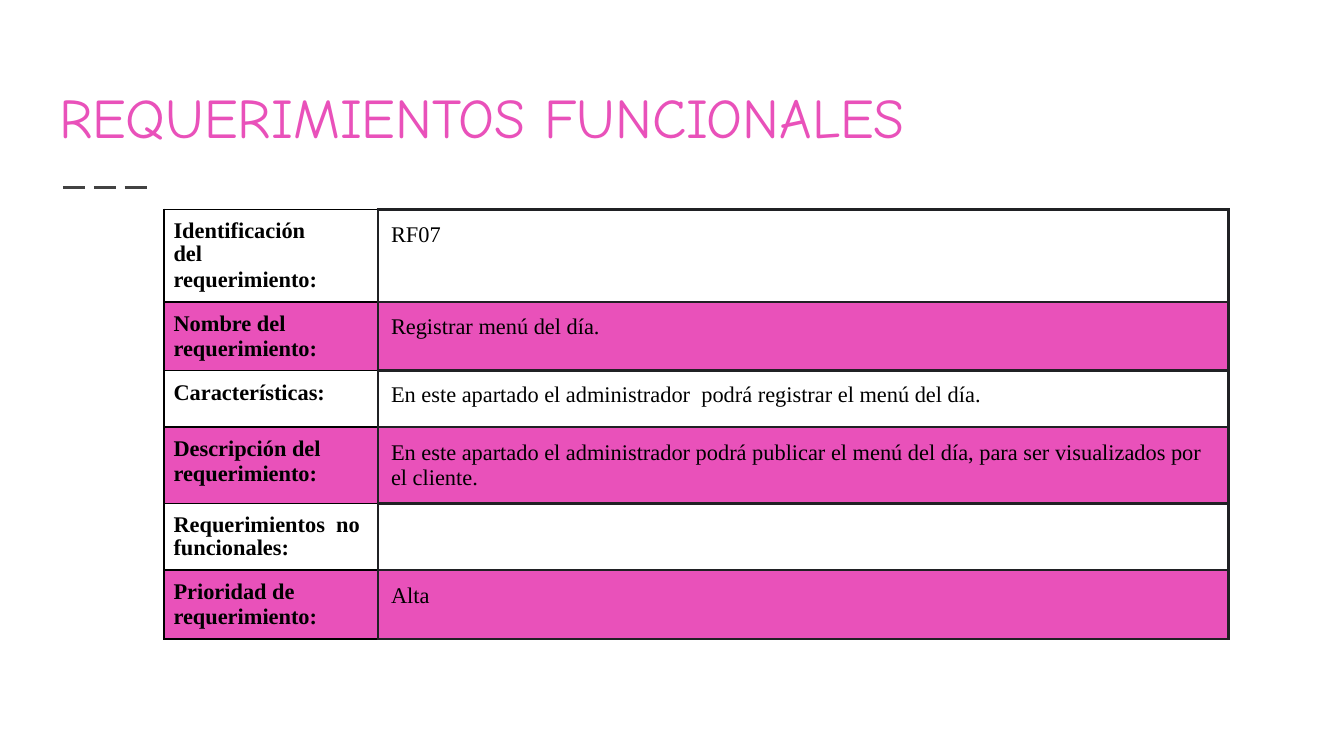
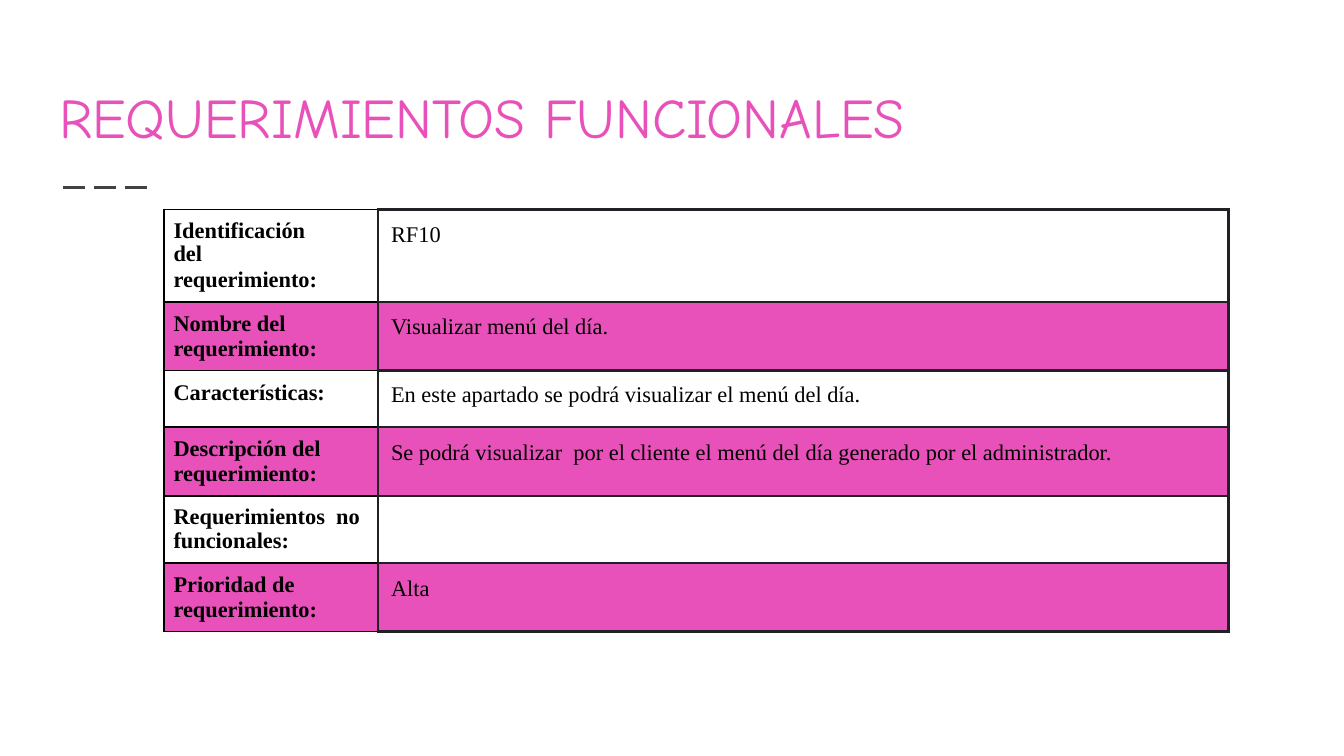
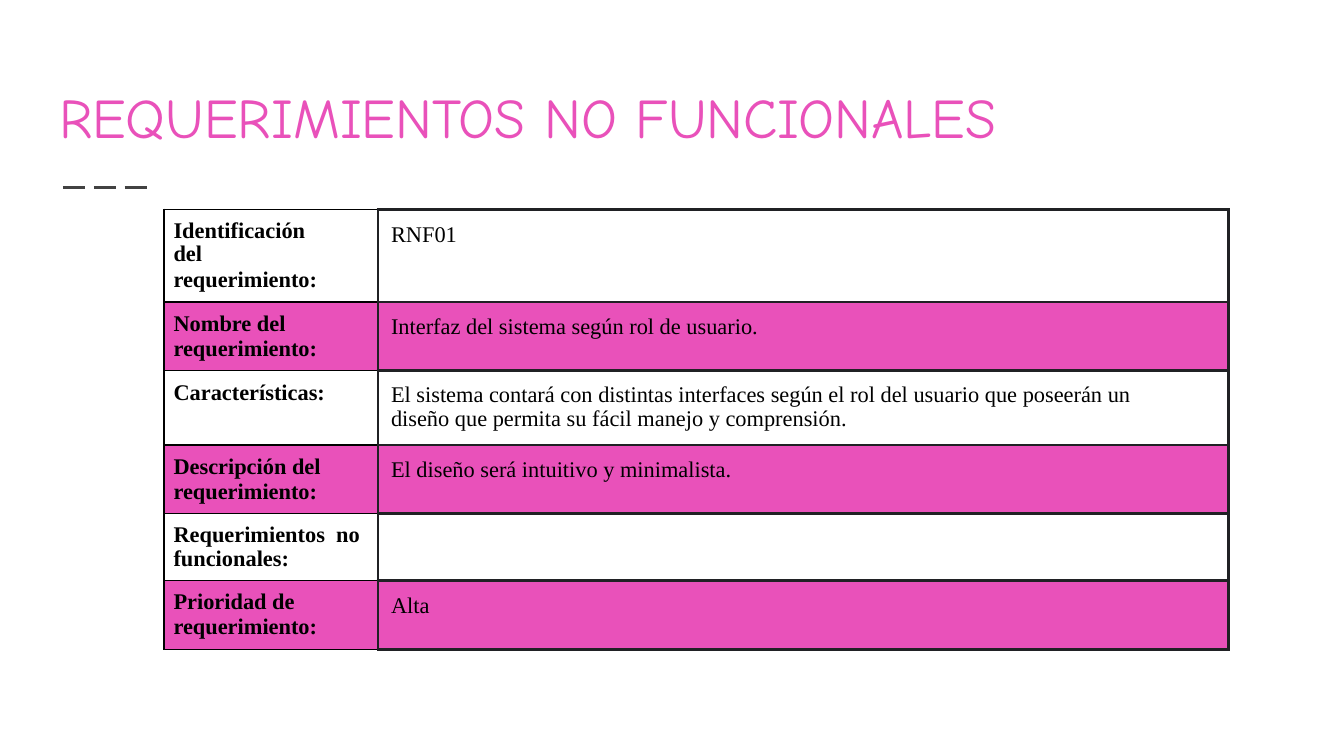
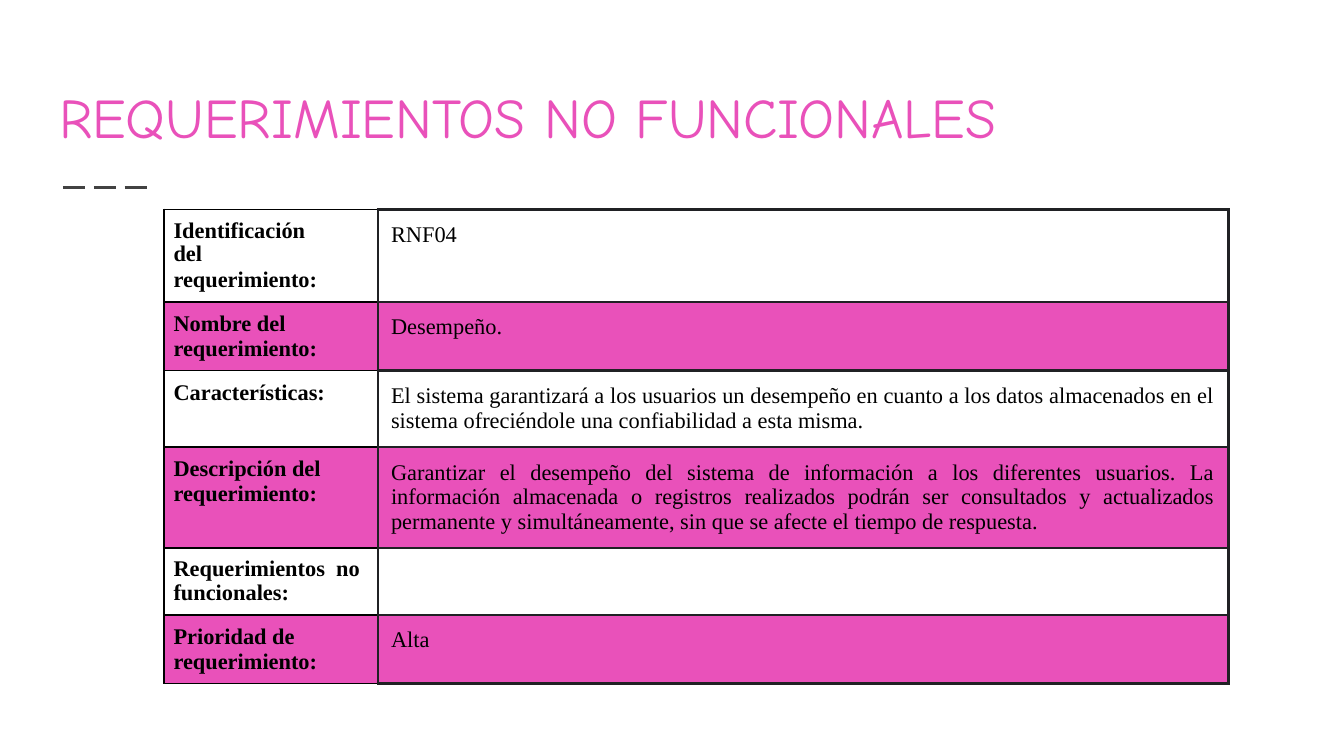
from lxml import etree
from pptx import Presentation
from pptx.dml.color import RGBColor
from pptx.enum import dml, shapes, text
from pptx.oxml import ns
from pptx.util import Cm, Pt

HUES = {"pink": "E951BA", "ink": "000000", "edge": "202124", "dash": "424242"}
LABELS = [
    ("Identificación del\nrequerimiento:", {"space": 0.96, "before": 0.3}, 0.8),
    ("Nombre del\nrequerimiento:", {}, 0.18),
    ("Características:", {}, 0.18),
    ("Descripción del requerimiento:", {}, 0.18),
    ("Requerimientos  no funcionales:", {"space": 0.96}, 0.18),
    ("Prioridad de\nrequerimiento:", {}, 0.18),
]
SLIDES = [
    ("REQUERIMIENTOS FUNCIONALES", "RF07", "Registrar menú del día.",
     "En este apartado el administrador  podrá registrar el menú del día.",
     "En este apartado el administrador podrá publicar el menú del día, "
     "para ser visualizados por el cliente."),
    ("REQUERIMIENTOS FUNCIONALES", "RF10", "Visualizar menú del día.",
     "En este apartado se podrá visualizar el menú del día.",
     "Se podrá visualizar  por el cliente el menú del día generado por el administrador."),
    ("REQUERIMIENTOS NO FUNCIONALES", "RNF01", "Interfaz del sistema según rol de usuario.",
     "El sistema contará con distintas interfaces según el rol del usuario que poseerán un "
     "diseño que permita su fácil manejo y comprensión.",
     "El diseño será intuitivo y minimalista."),
    ("REQUERIMIENTOS NO FUNCIONALES", "RNF04", "Desempeño.",
     "El sistema garantizará a los usuarios un desempeño en cuanto a los datos almacenados en el "
     "sistema ofreciéndole una confiabilidad a esta misma.",
     "Garantizar el desempeño del sistema de información a los diferentes usuarios. La información "
     "almacenada o registros realizados podrán ser consultados y actualizados permanente y "
     "simultáneamente, sin que se afecte el tiempo de respuesta."),
]


def write(frame, words, size=12, font="Times New Roman", hue="ink", bold=False,
          align=text.PP_ALIGN.LEFT, space=1.0, before=0):
    for i, line in enumerate(words.split("\n")):
        para = frame.add_paragraph() if i else frame.paragraphs[0]
        para.alignment = align
        para.line_spacing = 1.0 if i else space
        para.space_before = Pt(before if i else 0)
        run = para.add_run()
        run.text = line
        run.font.size = Pt(size)
        run.font.name = font
        run.font.bold = bold
        run.font.color.rgb = RGBColor.from_string(HUES[hue])


def border(cell, sides):
    props = cell._tc.get_or_add_tcPr()
    for i, (side, hue, width) in enumerate(sides):
        line = etree.Element(ns.qn("a:ln" + side), w=str(Pt(width)))
        fill = etree.SubElement(line, ns.qn("a:solidFill"))
        etree.SubElement(fill, ns.qn("a:srgbClr"), val=HUES[hue])
        props.insert(i, line)


deck = Presentation()
deck.slide_width, deck.slide_height = Cm(25.4), Cm(14.29)
layout = deck.slide_layouts[5]

for num, (head, code, name, traits, detail) in enumerate(SLIDES):
    slide = deck.slides.add_slide(layout)

    if num == 0:
        dash = slide.shapes.add_connector(
            shapes.MSO_CONNECTOR.STRAIGHT, Cm(1.19), Cm(3.54), Cm(2.9), Cm(3.54))
        dash.line.color.rgb = RGBColor.from_string(HUES["dash"])
        dash.line.width = Pt(1.5)
        dash.line.dash_style = dml.MSO_LINE.LONG_DASH
        etree.SubElement(dash.element.spPr, ns.qn("a:effectLst"))
        layout.shapes.element.append(dash.element)

    title = slide.shapes.title
    title.left, title.top, title.width, title.height = Cm(0.87), Cm(1.04), Cm(23.67), Cm(2.04)
    frame = title.text_frame
    frame.word_wrap = True
    frame.auto_size = text.MSO_AUTO_SIZE.NONE
    frame.vertical_anchor = text.MSO_ANCHOR.BOTTOM
    frame.margin_left = frame.margin_right = frame.margin_top = frame.margin_bottom = Cm(0.25)
    write(frame, head, size=30, font="Comic Neue", hue="pink")

    grid = slide.shapes.add_table(6, 2, Cm(3.1), Cm(3.96), Cm(20.12), Cm(6.42)).table
    grid.first_row = grid.horz_banding = False
    grid.columns[0].width, grid.columns[1].width = Cm(4.04), Cm(16.08)

    values = [code, name, traits, detail, "", "Alta"]
    for i, ((label, look, right), value) in enumerate(zip(LABELS, values)):
        grid.rows[i].height = Cm(1.07)
        form = {}
        inset = 0.25
        if num == 3 and i in (2, 3):
            form = {"align": text.PP_ALIGN.JUSTIFY}
        elif i == 2:
            form = {"space": 0.96}
            inset = 1.1
        cells = [
            (label, {"bold": True, **look}, 0.18, right, "ink", 1),
            (value, form, 0.25, inset, "edge", 1.5),
        ]
        for j, (words, style, pad, far, hue, width) in enumerate(cells):
            cell = grid.cell(i, j)
            cell.margin_left = cell.margin_top = cell.margin_bottom = Cm(pad)
            cell.margin_right = Cm(far)
            if i % 2:
                cell.fill.solid()
                cell.fill.fore_color.rgb = RGBColor.from_string(HUES["pink"])
            else:
                cell.fill.background()
            border(cell, [("L", hue, width), ("R", "edge", 1.5),
                          ("T", hue, width), ("B", hue, width)])
            write(cell.text_frame, words, **style)

deck.save("out.pptx")
